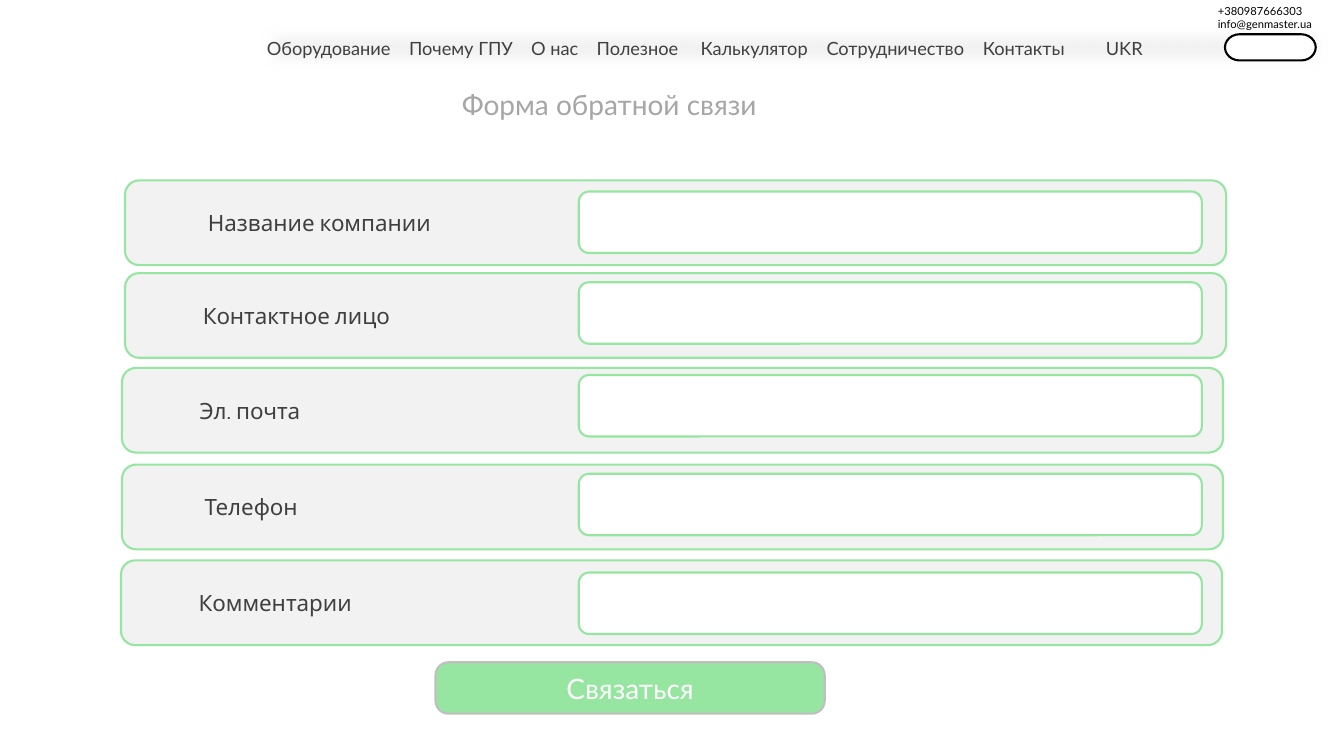
from dataclasses import dataclass
from lxml import etree
from pptx import Presentation
from pptx.dml.color import RGBColor
from pptx.enum.shapes import MSO_SHAPE
from pptx.enum.text import MSO_ANCHOR, MSO_AUTO_SIZE, PP_ALIGN
from pptx.oxml.ns import qn
from pptx.util import Inches, Pt

RECT, ROUND = MSO_SHAPE.RECTANGLE, MSO_SHAPE.ROUNDED_RECTANGLE
PILL = MSO_SHAPE.FLOWCHART_TERMINATOR
TOP, MIDDLE = MSO_ANCHOR.TOP, MSO_ANCHOR.MIDDLE
LEFT, CENTER = PP_ALIGN.LEFT, PP_ALIGN.CENTER
FIXED = MSO_AUTO_SIZE.NONE


@dataclass
class Theme:
    white: str = "FFFFFF"
    black: str = "000000"
    pale: str = "F2F2F2"
    green: str = "96E6A1"
    edge: str = "BFBFBF"
    dark: str = "404040"
    gray: str = "A6A6A6"
    head: str = "Lato"
    body: str = "Cabin"
    large: int = 20
    label: int = 16
    menu: int = 13
    small: int = 8


theme = Theme()
deck = Presentation()
deck.slide_width, deck.slide_height = Inches(13.33), Inches(7.5)
slide = deck.slides.add_slide(deck.slide_layouts[5])


def add_box(kind, left, top, width, height, fill, line=None):
    box = slide.shapes.add_shape(
        kind, Inches(left), Inches(top), Inches(width), Inches(height))
    box.shadow.inherit = False
    box.fill.solid()
    box.fill.fore_color.rgb = RGBColor.from_string(fill)
    if line:
        box.line.color.rgb = RGBColor.from_string(line)
        box.line.width = Pt(1.5)
    else:
        box.line.fill.background()
    return box


def set_text(shape, text, size, color, font, align=LEFT, anchor=MIDDLE):
    frame = shape.text_frame
    frame.text = text
    frame.vertical_anchor = anchor
    for para in frame.paragraphs:
        para.alignment = align
        para.font.size = Pt(size)
        para.font.name = font
        para.font.color.rgb = RGBColor.from_string(color)
    return frame


title = slide.shapes.title
title.left, title.top = Inches(4.48), Inches(0.82)
title.width, title.height = Inches(3.29), Inches(0.44)
frame = set_text(title, "Форма обратной связи", theme.large, theme.gray,
                 theme.head, anchor=TOP)
frame.auto_size = FIXED
frame.word_wrap = False

menu = [("Оборудование", 0), ("Почему ГПУ", 1.41), ("О нас", 2.62),
        ("Полезное", 3.27), ("Калькулятор", 4.3), ("Сотрудничество", 5.55),
        ("Контакты", 7.1), ("UKR", 8.32)]
bar = add_box(RECT, 2.55, 0.2, 10.66, 0.54, theme.pale)
soft = etree.SubElement(
    bar.element.spPr.find(qn("a:effectLst")), qn("a:softEdge"))
soft.set("rad", str(Inches(0.14)))
frame = bar.text_frame
frame.text = "\t".join(name for name, stop in menu)
tabs = etree.SubElement(
    frame.paragraphs[0]._p.get_or_add_pPr(), qn("a:tabLst"))
for name, stop in menu[1:]:
    etree.SubElement(tabs, qn("a:tab"), pos=str(Inches(stop)), algn="l")
frame.vertical_anchor = MIDDLE
para = frame.paragraphs[0]
para.alignment = LEFT
para.line_spacing = 1.07
para.font.size = Pt(theme.menu)
para.font.name = theme.head
para.font.color.rgb = RGBColor.from_string(theme.dark)

add_box(PILL, 12.15, 0.34, 0.9, 0.26, theme.white, theme.black)
contact = slide.shapes.add_textbox(
    Inches(11.98), Inches(-0.01), Inches(1.43), Inches(0.37))
frame = set_text(contact, "+380987666303\ninfo@genmaster.ua", theme.small,
                 theme.black, theme.head, anchor=TOP)
frame.word_wrap = True

rows = [("Название компании", 1.24, 1.79, 1.9, 0.78),
        ("Контактное лицо", 1.24, 2.71, 2.8, 0.73),
        ("Эл. почта", 1.21, 3.65, 3.72, 0.73),
        ("Телефон", 1.21, 4.61, 4.7, 0.78),
        ("Комментарии", 1.2, 5.56, 5.68, 0.73)]
for name, left, top, field, indent in rows:
    row = add_box(ROUND, left, top, 10.92, 0.84, theme.pale, theme.green)
    frame = set_text(row, name, theme.label, theme.dark, theme.body)
    frame.margin_left = Inches(indent)
    add_box(ROUND, 5.74, field, 6.18, 0.61, theme.white, theme.green)

button = add_box(ROUND, 4.32, 6.57, 3.86, 0.51, theme.green, theme.edge)
button.adjustments[0] = 0.25
set_text(button, "Связаться", theme.large, theme.white, theme.head, CENTER)

deck.save("out.pptx")
